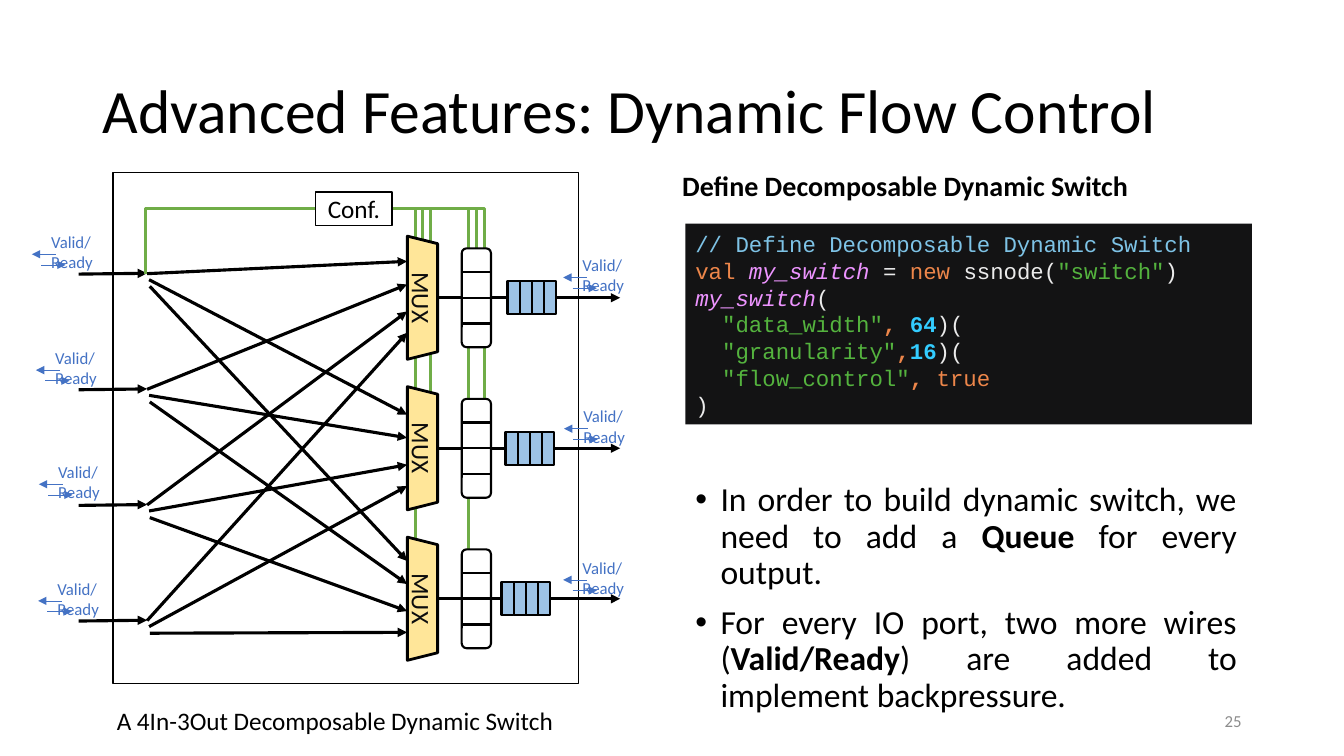
from pptx import Presentation
from pptx.dml.color import RGBColor
from pptx.enum.shapes import MSO_CONNECTOR, MSO_SHAPE
from pptx.enum.text import MSO_ANCHOR, MSO_AUTO_SIZE, PP_ALIGN
from pptx.oxml.ns import qn
from pptx.util import Pt
from lxml.etree import SubElement

COLORS = {
    "black": "000000", "white": "FFFFFF", "ink": "0D0D0D", "gray": "8C8C8C",
    "green": "70AD47", "blue": "4472C4", "queue": "9DC3E6", "mux": "FFE699",
    "code_back": "131314", "comment": "7EC3E6", "keyword": "ED864A",
    "variable": "ED94FF", "plain": "EBEBEB", "string": "54B33E", "number": "33CCFF",
}
BOLD = {"bold": True}
ITALIC = {"italic": True}


def rgb(name):
    return RGBColor.from_string(COLORS[name])


class SlideBuilder:
    font_name = "Calibri"

    def __init__(self, slide):
        self.slide = slide
        self.shapes = slide.shapes

    def add_runs(self, paragraph, runs, size, font=None, **paragraph_format):
        """Add runs given as (text, color, font format); a newline is a line break."""
        for key, value in paragraph_format.items():
            setattr(paragraph, key, value)
        for text, color, extra in runs:
            for index, piece in enumerate(text.split("\n")):
                if index:
                    paragraph.add_line_break()
                if not piece:
                    continue
                run = paragraph.add_run()
                run.text = piece
                font_format = {"name": font or self.font_name, "size": Pt(size), **extra}
                for key, value in font_format.items():
                    setattr(run.font, key, value)
                run.font.color.rgb = rgb(color)

    def title(self, text, left, top, width, height):
        shape = self.shapes.title
        place = {"left": left, "top": top, "width": width, "height": height}
        for key, value in place.items():
            setattr(shape, key, Pt(value))
        frame = shape.text_frame
        frame.vertical_anchor = MSO_ANCHOR.MIDDLE
        self.add_runs(frame.paragraphs[0], [(text, "black", {})], 44,
                      alignment=PP_ALIGN.LEFT, line_spacing=0.9)

    def text(self, text, left, top, width, height, size, color="black", extra=None,
             wrap=True, anchor=MSO_ANCHOR.TOP, align=PP_ALIGN.LEFT):
        shape = self.shapes.add_textbox(Pt(left), Pt(top), Pt(width), Pt(height))
        frame = shape.text_frame
        frame.word_wrap = wrap
        frame.vertical_anchor = anchor
        if not wrap:
            frame.auto_size = MSO_AUTO_SIZE.SHAPE_TO_FIT_TEXT
        self.add_runs(frame.paragraphs[0], [(text, color, extra or {})], size, alignment=align)

    def bullets(self, items, left, top, width, height, size):
        shape = self.shapes.add_textbox(Pt(left), Pt(top), Pt(width), Pt(height))
        frame = shape.text_frame
        frame.word_wrap = True
        for index, runs in enumerate(items):
            paragraph = frame.add_paragraph() if index else frame.paragraphs[0]
            properties = paragraph._p.get_or_add_pPr()
            properties.set("marL", str(Pt(18)))
            properties.set("indent", str(Pt(-18)))
            SubElement(properties, qn("a:buFont")).set("typeface", "Arial")
            SubElement(properties, qn("a:buChar")).set("char", "•")
            self.add_runs(paragraph, runs, size, alignment=PP_ALIGN.JUSTIFY,
                          line_spacing=0.9, space_before=Pt(10 if index else 0))

    def box(self, kind, left, top, width, height, fill=None, line_width=None, rotation=0):
        shape = self.shapes.add_shape(kind, Pt(left), Pt(top), Pt(width), Pt(height))
        shape.shadow.inherit = False
        shape.rotation = rotation
        if fill:
            shape.fill.solid()
            shape.fill.fore_color.rgb = rgb(fill)
        else:
            shape.fill.background()
        if line_width:
            shape.line.color.rgb = rgb("black")
            shape.line.width = Pt(line_width)
        else:
            shape.line.fill.background()
        return shape

    def label(self, shape, runs, size, font=None, align=PP_ALIGN.CENTER, **paragraph_format):
        frame = shape.text_frame
        frame.vertical_anchor = MSO_ANCHOR.MIDDLE
        self.add_runs(frame.paragraphs[0], runs, size, font, alignment=align, **paragraph_format)

    def line(self, x1, y1, x2, y2, color="black", width=2.25, arrow=False, bent=False):
        """Draw a line; a bent one runs sideways first and then down."""
        kind = MSO_CONNECTOR.ELBOW if bent else MSO_CONNECTOR.STRAIGHT
        connector = self.shapes.add_connector(kind, Pt(x1), Pt(y1), Pt(x2), Pt(y2))
        connector.line.color.rgb = rgb(color)
        connector.line.width = Pt(width)
        properties = connector._element.spPr
        if bent:
            properties.find(qn("a:prstGeom")).set("prst", "bentConnector2")
        if arrow:
            SubElement(properties.find(qn("a:ln")), qn("a:tailEnd")).set("type", "triangle")
        SubElement(properties, qn("a:effectLst"))
        return connector

    def handshake(self, left, top):
        """Draw the Valid/Ready label with its pair of opposite arrows."""
        self.line(left, top + 27.2, left + 17.4, top + 27.2, "blue", 0.5, arrow=True)
        self.line(left + 10.3, top + 19.6, left - 6.7, top + 19.6, "blue", 0.5, arrow=True)
        self.text("Valid/Ready", left, top, 52.6, 21.6, 12, "blue")

    def register(self, left, middle, width, height, fill):
        shape = self.box(MSO_SHAPE.ROUNDED_RECTANGLE, left, middle - height / 2,
                         width, height, fill, 1.5)
        for offset in (-18.4, 0, 18.4):
            divider = self.line(left, middle + offset, left + width, middle + offset, width=1.5)
            if offset == 0:
                divider.begin_connect(shape, 1)
                divider.end_connect(shape, 3)

    def queue(self, left, middle):
        for cell in range(4):
            self.box(MSO_SHAPE.RECTANGLE, left + cell * 8.7, middle - 11.9, 8.7, 23.8, "queue", 1.5)

    def mux(self, center, middle):
        shape = self.box(MSO_SHAPE.TRAPEZOID, center - 44, middle - 10.8, 88, 21.6, "mux", 2, 90)
        self.label(shape, [("MUX", "ink", {})], 18)


CODE = [
    ("// Define Decomposable Dynamic Switch\n", "comment", {}),
    ("val ", "keyword", {}), ("my_switch ", "variable", ITALIC), ("= ", "plain", {}),
    ("new ", "keyword", {}), ("ssnode(", "plain", {}), ('"switch"', "string", {}),
    (")\n", "plain", {}), ("my_switch", "variable", ITALIC), ("(\n  ", "plain", {}),
    ('"data_width"', "string", {}), (", ", "keyword", BOLD), ("64", "number", BOLD),
    (")(\n  ", "plain", {}), ('"granularity"', "string", {}), (",", "keyword", BOLD),
    ("16", "number", BOLD), (")(\n  ", "plain", {}), ('"flow_control"', "string", {}),
    (", ", "keyword", BOLD), ("true\n", "keyword", {}), (")", "plain", {}),
]
NOTES = [
    [("In order to build dynamic switch, we need to add a ", "black", {}),
     ("Queue", "black", BOLD), (" for every output.", "black", {})],
    [("For every IO port, two more wires (", "black", {}), ("Valid/Ready", "black", BOLD),
     (") are added to implement backpressure.", "black", {})],
]
INPUT_ROWS = [195.5 + 82.6 * index for index in range(4)]
OUTPUT_ROWS = [212.7 + 107.5 * index for index in range(3)]
CONF_MIDDLE = 149
CONF_WIRES = [(296.6, 384.5), (307.4, 285.8), (302, 173.5),
              (334.8, 392.4), (346.3, 284.4), (340.6, 177.1)]
HANDSHAKES = [(29.5, 162), (32.4, 244.8), (34.5, 326.3), (33.9, 409.6),
              (409, 178.6), (409.6, 286.6), (409, 394.6)]
MUX_PINS = (-26, -9.5, 9.8, 25)
# Per output: start x and drop of its input wires, shift of its pins, left of its queue
FAN_OUT = [(105.1, 0, 0, 362.5), (106.5, 4.3, 2, 361.1), (107, 9, -1, 358.2)]


def draw_switch(builder):
    builder.box(MSO_SHAPE.RECTANGLE, 80.6, 123.1, 332.6, 365, line_width=1)
    for row in INPUT_ROWS:
        builder.line(56.2, row + 0.3, 105.1, row - 0.3, arrow=True)
    for row in OUTPUT_ROWS:
        builder.line(313, row, 443, row, arrow=True)
    for x, bottom in CONF_WIRES:
        builder.line(280.1, CONF_MIDDLE, x, bottom, "green", bent=True)
    builder.line(225.4, CONF_MIDDLE, 103.7, INPUT_ROWS[0], "green", bent=True)
    conf = builder.box(MSO_SHAPE.RECTANGLE, 225.4, CONF_MIDDLE - 11.9, 54.7, 23.8, "white", 1)
    conf.text_frame.word_wrap = False
    builder.label(conf, [("Conf.", "black", {})], 18)
    for index, (row, (start, drop, shift, queue_left)) in enumerate(zip(OUTPUT_ROWS, FAN_OUT)):
        builder.register(329.8, row, 20.9, 70.6, "white" if index < 2 else None)
        for source, pin in zip(INPUT_ROWS, MUX_PINS):
            builder.line(start, source + drop, 290.8, row + pin + shift, arrow=True)
        builder.queue(queue_left, row)
        builder.mux(301.8, row)
    for left, top in HANDSHAKES:
        builder.handshake(left, top)


def main():
    presentation = Presentation()
    presentation.slide_width, presentation.slide_height = Pt(960), Pt(540)
    builder = SlideBuilder(presentation.slides.add_slide(presentation.slide_layouts[5]))
    builder.title("Advanced Features: Dynamic Flow Control", 66, 28.8, 828, 104.4)
    builder.bullets(NOTES, 489.6, 341.3, 401, 180.7, 24)
    builder.text("A 4In-3Out Decomposable Dynamic Switch", 76.3, 500.4, 329.8, 28.8, 18, wrap=False)
    code = builder.box(MSO_SHAPE.RECTANGLE, 489.6, 159.8, 404.6, 143.3, "code_back")
    builder.label(code, CODE, 16, "Courier New", PP_ALIGN.LEFT, line_spacing=Pt(19.1))
    builder.text("Define Decomposable Dynamic Switch", 480.2, 116.6, 336.2, 31.7, 20,
                 extra=BOLD, wrap=False)
    draw_switch(builder)
    builder.text("25", 678, 500.4, 216, 28.8, 12, "gray", anchor=MSO_ANCHOR.MIDDLE,
                 align=PP_ALIGN.RIGHT)
    presentation.save("out.pptx")


if __name__ == "__main__":
    main()
